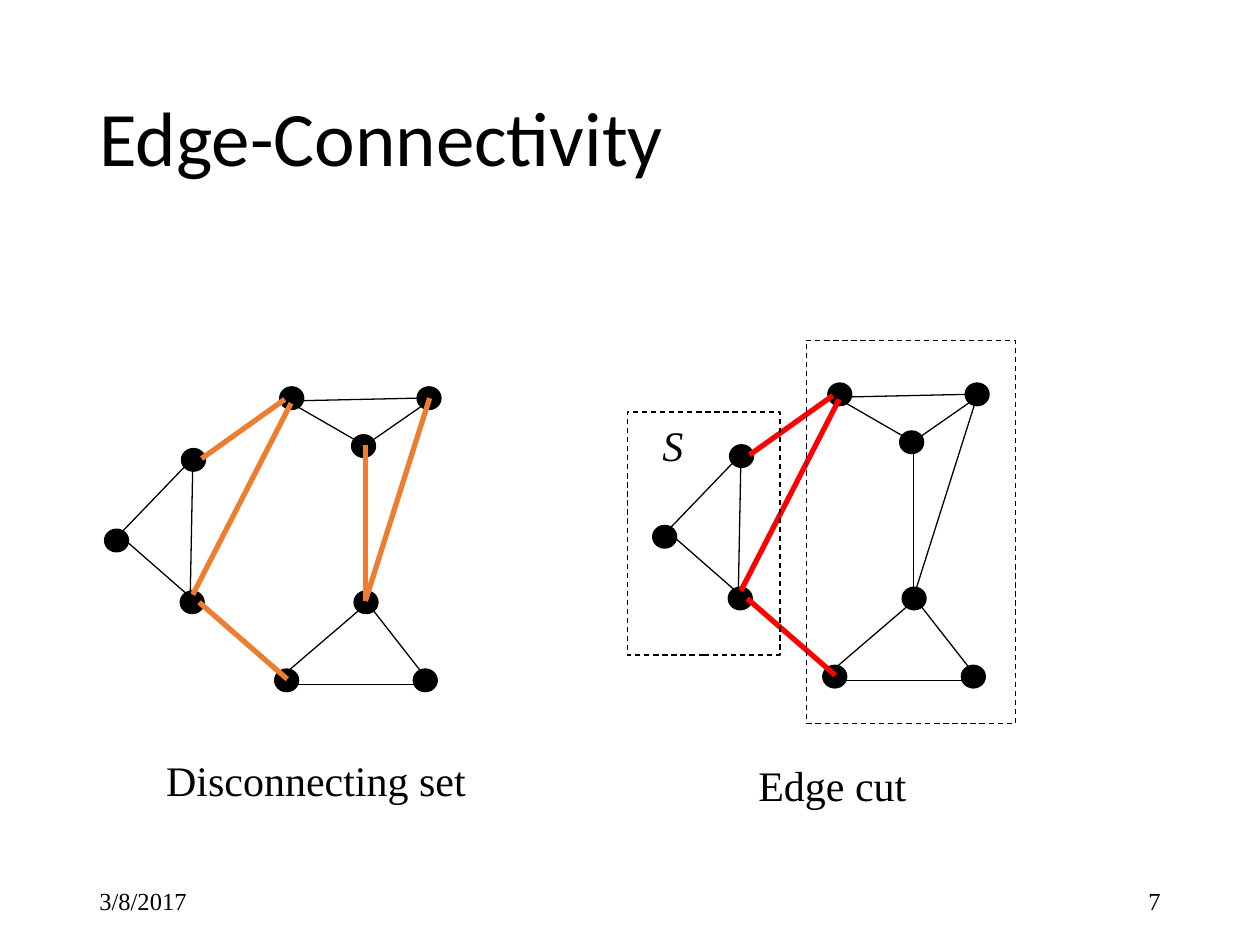
"""Build a slide contrasting a disconnecting set with an edge cut on one graph."""
import pptx
import pptx.dml.color
import pptx.enum.dml
import pptx.enum.shapes
import pptx.enum.text
import pptx.oxml.ns
import pptx.util
from lxml import etree

THEME = {
    "ink": "000000", "orange": "ED7D31", "red": "FF0000",
    "heading": "Calibri", "body": "Times New Roman",
    "title_size": 44, "label_size": 24, "footer_size": 14,
    "thin": 0.75, "thick": 3,
}
SLIDE_SIZE = (10, 7.5)
NODE_SIZE = (0.19, 0.18)
NODES = [
    (2.22, 3.07), (1.44, 3.56), (1.43, 4.69), (0.83, 4.2), (2.18, 5.31),
    (3.31, 3.07), (2.79, 3.45), (2.81, 4.69), (3.28, 5.31),
]
EDGES = [
    ("left upper", (0.96, 4.23), (1.46, 3.71)),
    ("left lower", (1.02, 4.31), (1.5, 4.73)),
    ("bridge top", (1.6, 3.64), (2.26, 3.17)),
    ("bridge bottom", (1.58, 4.78), (2.28, 5.39)),
    ("bridge diagonal", (1.53, 4.72), (2.31, 3.2)),
    ("left side", (1.51, 4.73), (1.53, 3.68)),
    ("top", (2.4, 3.18), (3.32, 3.16)),
    ("top left", (2.33, 3.21), (2.85, 3.51)),
    ("top right", (2.92, 3.52), (3.38, 3.2)),
    ("inner vertical", (2.9, 4.77), (2.9, 3.53)),
    ("bottom left", (2.27, 5.34), (2.9, 4.8)),
    ("bottom right", (2.92, 4.79), (3.42, 5.43)),
    ("bottom", (2.32, 5.43), (3.4, 5.43)),
    ("outer vertical", (2.9, 4.77), (3.41, 3.16)),
]
BRIDGES = {"bridge top", "bridge bottom", "bridge diagonal"}
GRAPHS = [
    {"offset": (0, 0), "color": "orange",
     "cut": BRIDGES | {"inner vertical", "outer vertical"}},
    {"offset": (4.35, -0.03), "color": "red", "cut": BRIDGES},
]
PARTITIONS = [(4.98, 3.27, 1.21, 1.93), (6.4, 2.7, 1.66, 3.04)]
TEXTS = [
    ("3/8/2017", (0.69, 6.95, 2.25, 0.4), {"size": "footer_size", "anchor": "MIDDLE"}),
    ("7", (7.06, 6.95, 2.25, 0.4),
     {"size": "footer_size", "anchor": "MIDDLE", "align": "RIGHT"}),
    ("Edge-Connectivity", (0.69, 0.4, 8.62, 1.45),
     {"size": "title_size", "font": "heading", "anchor": "MIDDLE", "spacing": 0.9}),
    ("Disconnecting set", (1.22, 5.94, 2.76, 0.5), {}),
    ("Edge cut", (5.92, 5.98, 1.88, 0.5), {}),
    ("S", (5.16, 3.28, 0.47, 0.5), {"italic": True}),
]


def inches(values):
    return [pptx.util.Inches(value) for value in values]


def theme_color(name):
    return pptx.dml.color.RGBColor.from_string(THEME[name])


def add_text(slide, text, box, *, size="label_size", font="body", anchor="TOP",
             align="LEFT", spacing=None, italic=False):
    frame = slide.shapes.add_textbox(*inches(box)).text_frame
    frame.word_wrap = True
    frame.vertical_anchor = pptx.enum.text.MSO_ANCHOR[anchor]
    paragraph = frame.paragraphs[0]
    paragraph.alignment = pptx.enum.text.PP_ALIGN[align]
    if spacing:
        paragraph.line_spacing = spacing
    run = paragraph.add_run()
    run.text = text
    run.font.name = THEME[font]
    run.font.size = pptx.util.Pt(THEME[size])
    run.font.italic = italic
    run.font.color.rgb = theme_color("ink")


def style_line(line, color="ink", width="thin"):
    line.color.rgb = theme_color(color)
    line.width = pptx.util.Pt(THEME[width])


def add_outline(slide, kind, box):
    shape = slide.shapes.add_shape(pptx.enum.shapes.MSO_SHAPE[kind], *inches(box))
    shape.shadow.inherit = False
    shape.fill.background()
    style_line(shape.line)
    return shape


def add_edge(slide, start, end, color, width):
    edge = slide.shapes.add_connector(
        pptx.enum.shapes.MSO_CONNECTOR.STRAIGHT, *inches(start + end))
    style_line(edge.line, color, width)
    etree.SubElement(edge._element.spPr, pptx.oxml.ns.qn("a:effectLst"))


def add_graph(slide, offset, color, cut):
    def moved(point):
        return tuple(value + shift for value, shift in zip(point, offset))

    for node in NODES:
        shape = add_outline(slide, "OVAL", moved(node) + NODE_SIZE)
        shape.fill.solid()
        shape.fill.fore_color.rgb = theme_color("ink")
    for name, start, end in EDGES:
        style = (color, "thick") if name in cut else ("ink", "thin")
        add_edge(slide, moved(start), moved(end), *style)


def main():
    presentation = pptx.Presentation()
    presentation.slide_width, presentation.slide_height = inches(SLIDE_SIZE)
    slide = presentation.slides.add_slide(presentation.slide_layouts[6])
    for graph in GRAPHS:
        add_graph(slide, **graph)
    for box in PARTITIONS:
        partition = add_outline(slide, "RECTANGLE", box)
        partition.line.dash_style = pptx.enum.dml.MSO_LINE.DASH
    for text, box, style in TEXTS:
        add_text(slide, text, box, **style)
    presentation.save("out.pptx")


if __name__ == "__main__":
    main()
